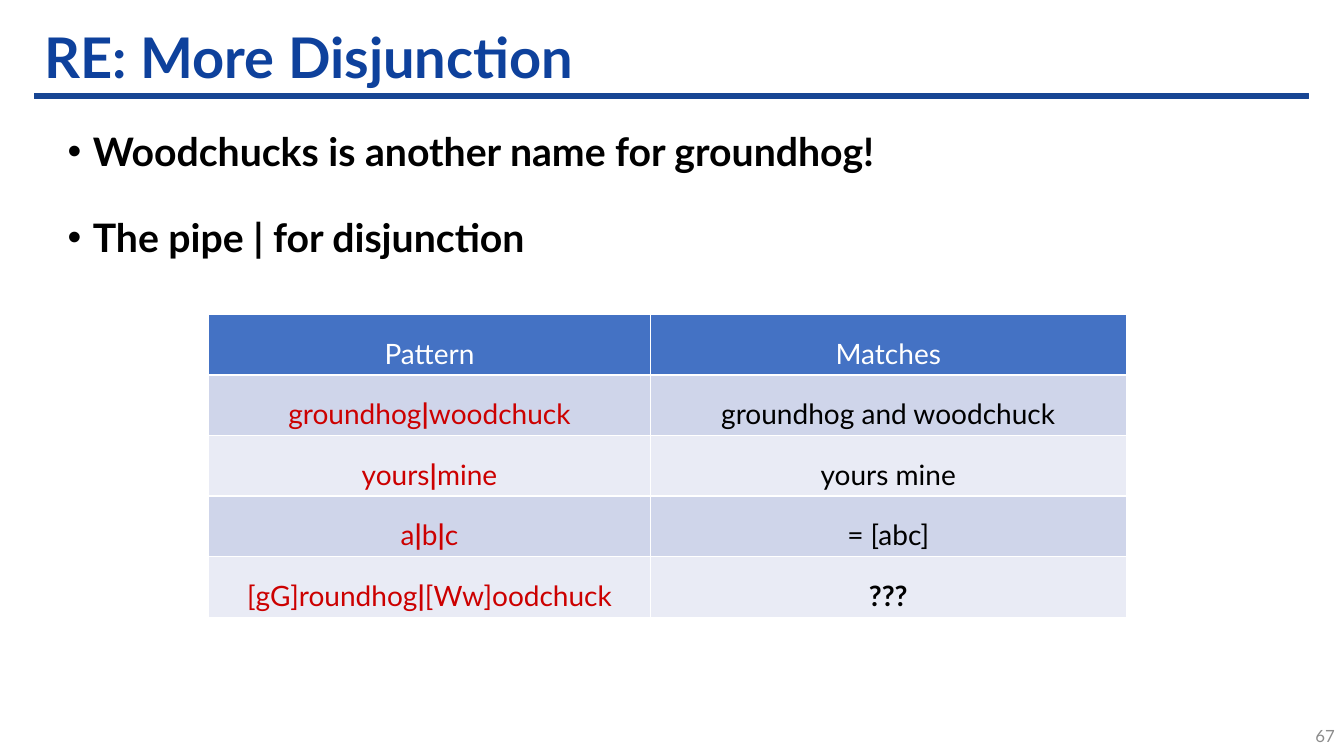
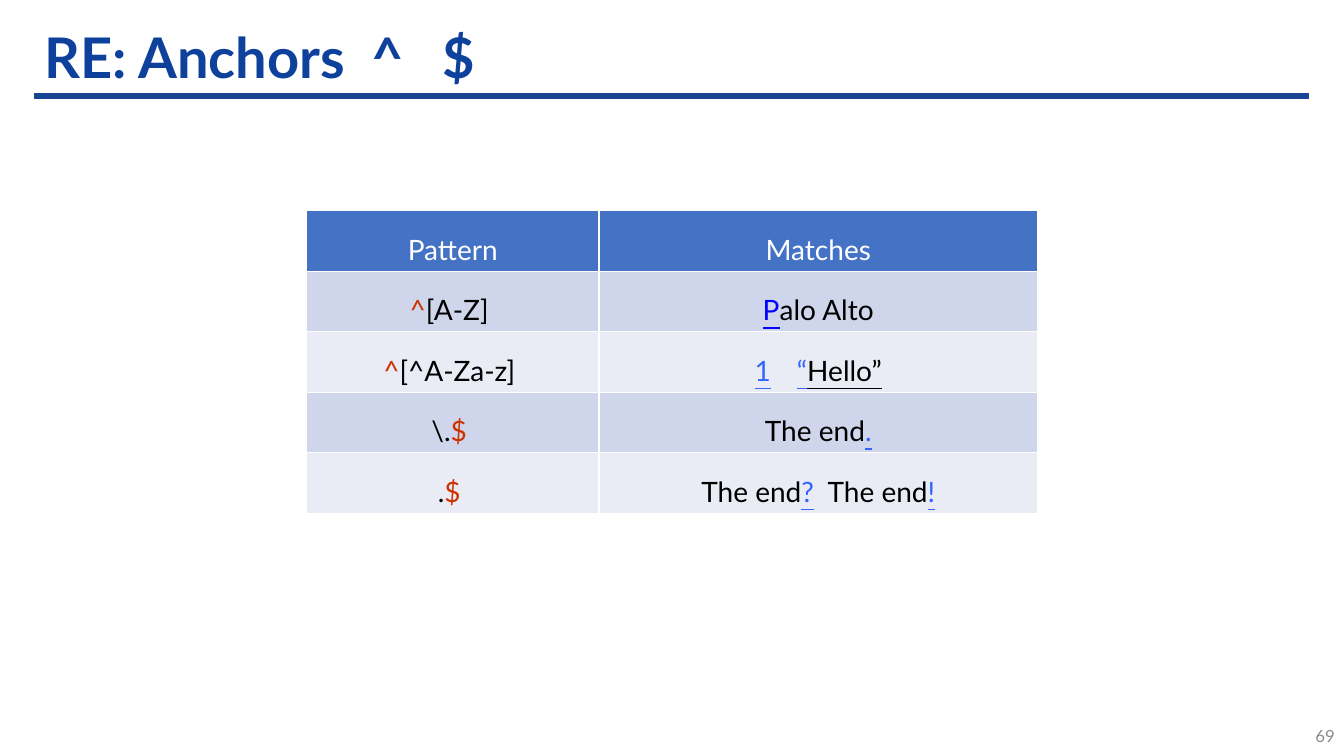
from dataclasses import dataclass

from pptx import Presentation
from pptx.dml.color import RGBColor
from pptx.enum.shapes import MSO_SHAPE
from pptx.enum.text import MSO_ANCHOR, MSO_AUTO_SIZE, PP_ALIGN
from pptx.util import Inches, Pt

SLIDE_WIDTH = Inches(13.33)
SLIDE_HEIGHT = Inches(7.5)


@dataclass(frozen=True)
class Theme:
    """Font, colours and type sizes shared by the slides."""

    font: str = "Lato"
    title: str = "0E419C"
    rule: str = "174593"
    text: str = "000000"
    number: str = "8C8C8C"
    header_fill: str = "4472C4"
    header_text: str = "FFFFFF"
    bands: tuple = ("CFD5EA", "E9EBF5")
    pattern: str = "CC0000"
    anchor: str = "CC3300"
    match: str = "3366FF"
    capital: str = "0000FF"
    title_size: int = 40
    body_size: int = 28
    table_size: int = 20
    number_size: int = 12


THEME = Theme()
ANCHOR = {"color": THEME.anchor}
MATCH = {"color": THEME.match, "underline": True}
HEADER = [("Pattern", {"color": THEME.header_text}), ("Matches", {"color": THEME.header_text})]


def across(percent):
    """Return a share of the slide's width."""
    return int(SLIDE_WIDTH * percent / 100)


def down(percent):
    """Return a share of the slide's height."""
    return int(SLIDE_HEIGHT * percent / 100)


def area(left, top, width, height):
    """Turn percentages of the slide into a position and size."""
    return across(left), down(top), across(width), down(height)


def move(placeholder, box):
    """Place a placeholder in a box."""
    placeholder.left, placeholder.top, placeholder.width, placeholder.height = box


def write(paragraph, text, size, color=THEME.text, bold=False, underline=False, tracking=0):
    """Append one formatted run, with optional tracking in points."""
    run = paragraph.add_run()
    run.text = text
    run.font.name = THEME.font
    run.font.size = Pt(size)
    run.font.bold = bold
    run.font.underline = underline
    run.font.color.rgb = RGBColor.from_string(color)
    if tracking:
        run._r.get_or_add_rPr().set("spc", str(int(tracking * 100)))


def write_spans(paragraph, spans, size, **shared):
    """Write (text, format) pairs into one paragraph."""
    for text, style in spans:
        write(paragraph, text, size, **{**shared, **style})


def plain(text, **style):
    """Return a span with the given format."""
    return text, style


def gap(points):
    """Return a space widened by a number of points."""
    return " ", {"tracking": points}


def alternatives(*options):
    """Return pattern spans joined by bold pipes."""
    spans = []
    for option in options:
        if spans:
            spans.append(plain("|", color=THEME.pattern, bold=True))
        spans.append(plain(option, color=THEME.pattern))
    return spans


def start_slide(deck, layout, heading, number):
    """Add a slide with its title, rule and number."""
    slide = deck.slides.add_slide(deck.slide_layouts.get_by_name(layout))
    rule = slide.shapes.add_shape(MSO_SHAPE.RECTANGLE, *area(2.55, 12.4, 94.82, 0.67))
    rule.shadow.inherit = False
    rule.fill.solid()
    rule.fill.fore_color.rgb = RGBColor.from_string(THEME.rule)
    rule.line.color.rgb = RGBColor.from_string(THEME.rule)
    rule.line.width = Pt(1)

    title = slide.shapes.title
    move(title, area(2.55, 3.47, 94.82, 8.93))
    title.text_frame.auto_size = MSO_AUTO_SIZE.NONE
    title.text_frame.vertical_anchor = MSO_ANCHOR.MIDDLE
    line = title.text_frame.paragraphs[0]
    line.alignment = PP_ALIGN.LEFT
    line.line_spacing = 0.9
    write_spans(line, heading, THEME.title_size, color=THEME.title, bold=True)

    frame = slide.shapes.add_textbox(*area(95.05, 94.67, 5, 5.33)).text_frame
    frame.word_wrap = True
    frame.vertical_anchor = MSO_ANCHOR.MIDDLE
    frame.paragraphs[0].alignment = PP_ALIGN.RIGHT
    write(frame.paragraphs[0], number, THEME.number_size, color=THEME.number)
    return slide


def fill_bullets(slide, points):
    """Put bold bullet points in the body placeholder."""
    body = slide.placeholders[1]
    move(body, area(4.28, 16.13, 90.77, 80.27))
    frame = body.text_frame
    frame.auto_size = MSO_AUTO_SIZE.NONE
    for index, point in enumerate(points):
        line = frame.add_paragraph() if index else frame.paragraphs[0]
        indent = Inches(0.25)
        properties = line._p.get_or_add_pPr()
        properties.set("marL", str(indent))
        properties.set("indent", str(-indent))
        line.space_before = Pt(10 if index else 0)
        line.space_after = Pt(18)
        write(line, point, THEME.body_size, bold=True)


def add_pattern_table(slide, left, top, columns, examples):
    """Add a banded table of patterns and their matches."""
    rows = [[[label] for label in HEADER], *examples]
    row_height = 8
    box = area(left, top, sum(columns), row_height * len(rows))
    table = slide.shapes.add_table(len(rows), len(columns), *box).table
    for column, width in zip(table.columns, columns):
        column.width = across(width)
    for r, row in enumerate(rows):
        table.rows[r].height = down(row_height)
        fill = THEME.bands[(r - 1) % 2] if r else THEME.header_fill
        for c, spans in enumerate(row):
            cell = table.cell(r, c)
            cell.fill.solid()
            cell.fill.fore_color.rgb = RGBColor.from_string(fill)
            line = cell.text_frame.paragraphs[0]
            line.alignment = PP_ALIGN.CENTER
            line.line_spacing = 1.5
            write_spans(line, spans, THEME.table_size)


def build_disjunction(deck):
    """Build the slide on the pipe."""
    slide = start_slide(deck, "Title and Content", [plain("RE: More Disjunction")], "67")
    fill_bullets(slide, ["Woodchucks is another name for groundhog!", "The pipe | for disjunction"])
    add_pattern_table(slide, 15.53, 41.6, (32.86, 35.41), [
        (alternatives("groundhog", "woodchuck"), [plain("groundhog and woodchuck")]),
        (alternatives("yours", "mine"), [plain("yours mine")]),
        (alternatives("a", "b", "c"), [plain("= [abc]")]),
        (alternatives("[gG]roundhog", "[Ww]oodchuck"), [plain("???", bold=True)]),
    ])


def build_anchors(deck):
    """Build the slide on line anchors."""
    heading = [plain("RE: Anchors"), gap(9), plain("^"), gap(18), plain("$")]
    slide = start_slide(deck, "Title Only", heading, "69")
    caret, dollar = ("^", ANCHOR), ("$ ", ANCHOR)
    add_pattern_table(slide, 22.81, 27.87, (21.76, 32.63), [
        ([caret, plain("[A-Z] ")],
         [plain("P", color=THEME.capital, underline=True), plain("alo Alto")]),
        ([caret, plain("[^A-Za-z] ")],
         [("1", MATCH), gap(13.5), ("“", MATCH), plain("Hello”", underline=True)]),
        ([plain("\\."), dollar], [plain("The end"), (".", MATCH)]),
        ([plain("."), dollar],
         [plain("The end"), ("?", MATCH), gap(4.5), plain("The end"), ("!", MATCH)]),
    ])


def main():
    """Build and save the presentation."""
    deck = Presentation()
    deck.slide_width = SLIDE_WIDTH
    deck.slide_height = SLIDE_HEIGHT
    build_disjunction(deck)
    build_anchors(deck)
    deck.save("out.pptx")


if __name__ == "__main__":
    main()
